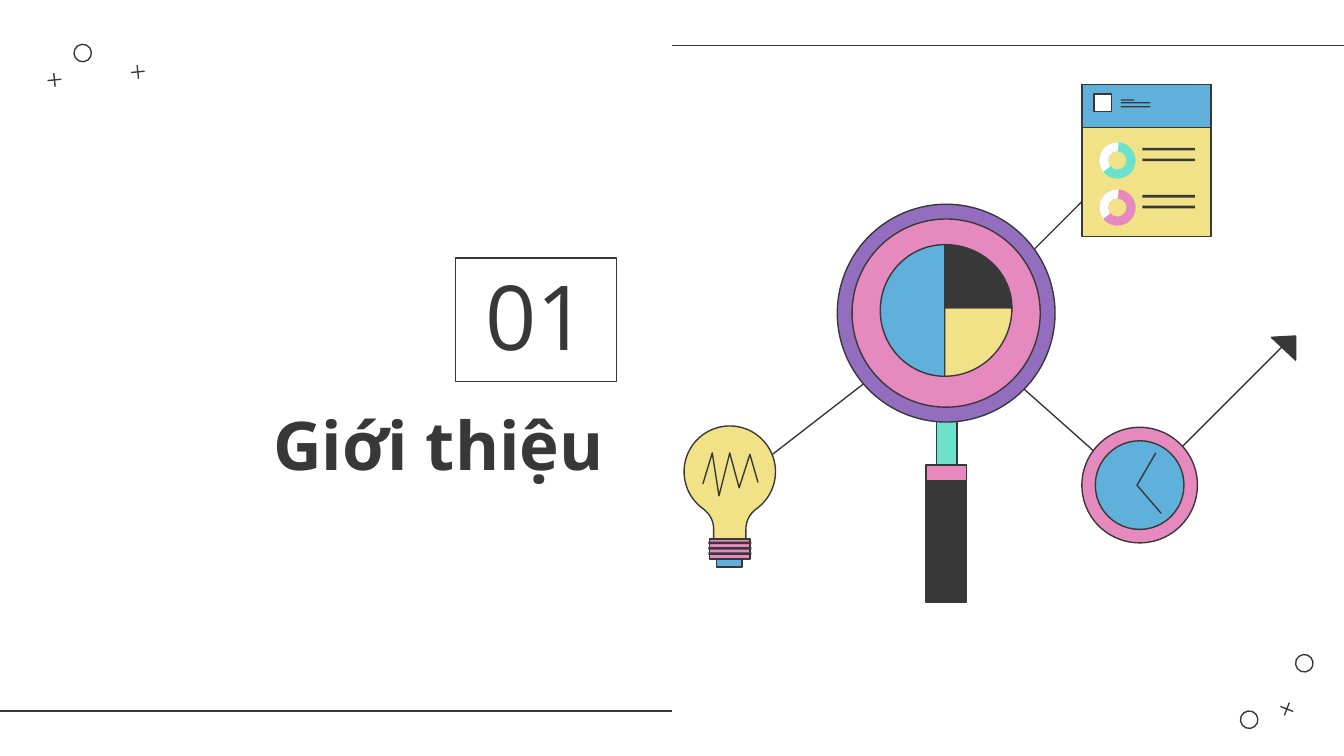
import math
from lxml import etree
from pptx import Presentation
from pptx.dml.color import RGBColor
from pptx.enum import shapes, text
from pptx.oxml import ns
from pptx.util import Inches, Pt

THEME = dict(ink="383838", paper="FFFFFF", yellow="F1E287", blue="5FB0DA", pink="E589BF",
             purple="946EBE", mint="6CE2CB", font="Open Sans", title=36, number=48, stroke=0.75)
INK, PAPER, YELLOW, BLUE, PINK, PURPLE, MINT = [
    THEME[c] for c in ("ink", "paper", "yellow", "blue", "pink", "purple", "mint")]
S = shapes.MSO_SHAPE

# A 16:9 slide
prs = Presentation()
prs.slide_width, prs.slide_height = Inches(10), Inches(10 * 9 / 16)
s = prs.slides.add_slide(prs.slide_layouts[6])


def paint(sp, fill=None, edge=True):
    sp.shadow.inherit = False
    if fill:
        sp.fill.solid()
        sp.fill.fore_color.rgb = RGBColor.from_string(fill)
    else:
        sp.fill.background()
    if edge:
        sp.line.color.rgb = RGBColor.from_string(INK)
        sp.line.width = Pt(THEME["stroke"])
    else:
        sp.line.fill.background()
    return sp


def place(kind, box, fill=None, edge=True, adj=(), turn=0):
    sp = s.shapes.add_shape(kind, *[Inches(v) for v in box])
    sp.rotation = turn
    for i, value in enumerate(adj):
        sp.adjustments[i] = value
    return paint(sp, fill, edge)


# Page rules, then the links between the drawings
for x1, y1, x2, y2 in [(10, 0.34, 5, 0.34), (5, 5.29, 0, 5.29), (7.45, 2.1, 8.22, 1.33),
                       (8.49, 3.63, 9.55, 2.57), (5.4, 3.65, 7.04, 2.38),
                       (7.04, 2.38, 8.48, 3.66)]:
    link = s.shapes.add_connector(shapes.MSO_CONNECTOR.STRAIGHT, *map(Inches, (x1, y1, x2, y2)))
    link.line.color.rgb = RGBColor.from_string(INK)
    link.line.width = Pt(THEME["stroke"])
    etree.SubElement(link._element.spPr, ns.qn("a:effectLst"))

# Corner circles and crosses
for x, y, turn, cross in [(0.55, 0.33, 84.5, False), (0.34, 0.53, 84.5, True),
                          (0.96, 0.47, 84.5, True), (9.23, 5.29, 291.4, False),
                          (9.51, 5.21, 291.4, True), (9.64, 4.87, 291.4, False)]:
    place(S.MATH_PLUS if cross else S.OVAL, (x, y, 0.13, 0.13), turn=turn,
          adj=(0,) if cross else ())

# Title and section number
title = s.shapes.add_textbox(Inches(0.79), Inches(2.84), Inches(3.8), Inches(0.86))
number = place(S.RECTANGLE, (3.39, 1.92, 1.2, 0.92))
for sp, words, size, bold, align in [
        (title, "Giới thiệu", THEME["title"], True, text.PP_ALIGN.RIGHT),
        (number, "01", THEME["number"], False, text.PP_ALIGN.CENTER)]:
    tf = sp.text_frame
    tf.word_wrap = True
    tf.vertical_anchor = text.MSO_ANCHOR.BOTTOM
    tf.margin_left = tf.margin_right = tf.margin_top = tf.margin_bottom = Inches(0.1)
    p = tf.paragraphs[0]
    p.text, p.alignment = words, align
    p.font.name, p.font.size, p.font.bold = THEME["font"], Pt(size), bold
    p.font.color.rgb = RGBColor.from_string(INK)

# Magnifier handle, bulb base and report card
for box, fill in [((6.97, 3.04, 0.15, 1.29), MINT), ((6.89, 3.58, 0.3, 0.9), INK),
                  ((6.89, 3.46, 0.3, 0.12), PINK),
                  ((5.33, 4.15, 0.19, 0.07), BLUE), ((5.28, 4.01, 0.3, 0.15), PINK),
                  ((8.05, 0.63, 0.96, 1.13), YELLOW), ((8.05, 0.63, 0.96, 0.32), BLUE),
                  ((8.14, 0.7, 0.13, 0.13), PAPER)]:
    place(S.RECTANGLE, box, fill)

# Magnifier lens and clock face
for cx, cy, radius, fill in [(7.04, 2.33, 0.81, PURPLE), (7.04, 2.33, 0.7, PINK),
                             (8.48, 3.61, 0.43, PINK), (8.48, 3.61, 0.33, BLUE)]:
    place(S.OVAL, (cx - radius, cy - radius, 2 * radius, 2 * radius), fill)

# Pie in the lens: angles in degrees, clockwise from the right
for cy, rx, ry, start, end, fill in [(2.31, 0.48, 0.49, 90, 270, BLUE),
                                     (2.29, 0.5, 0.51, 0, 90, YELLOW),
                                     (2.29, 0.5, 0.47, 270, 0, INK)]:
    place(S.PIE, (7.03 - rx, cy - ry, 2 * rx, 2 * ry), fill, adj=(start * 0.6, end * 0.6))

# Bulb threads and card heading lines
for i in range(3):
    place(S.RECTANGLE, (5.27, 4.03 + 0.04 * i, 0.32, 0.02), INK, edge=False)
for y, width in [(0.74, 0.1), (0.76, 0.22), (0.79, 0.22)]:
    place(S.RECTANGLE, (8.34, y, width, 0.01), INK, edge=False)

# Card rows: ring with a white part and two lines
for y, fill in [(1.06, MINT), (1.41, PINK)]:
    ring = (8.18, y, 0.27, 0.27)
    place(S.DONUT, ring, fill, edge=False, adj=(0.25,))
    place(S.BLOCK_ARC, ring, PAPER, edge=False, adj=(84.95, 164, 0.245))
    for dy in (0.04, 0.12):
        place(S.RECTANGLE, (8.5, y + dy, 0.39, 0.02), INK, edge=False)

# Bulb outline: right half is a round head and a curved neck, left half mirrors it
BULB_X, BULB_Y, BULB_R = 5.43, 3.51, 0.34
half = [(BULB_R * math.cos(math.radians(a)), BULB_Y + BULB_R * math.sin(math.radians(a)))
        for a in range(-90, 53, 2)]
neck = [half[-1], (0.12, 3.84), (0.12, 3.94)]
for i in range(1, 11):
    t = i / 10
    weights = ((1 - t) ** 2, 2 * t * (1 - t), t * t)
    half.append(tuple(sum(w * pt[k] for w, pt in zip(weights, neck)) for k in (0, 1)))
half.append((0.12, 4.01))
bulb = [(BULB_X + x, y) for x, y in half] + [(BULB_X - x, y) for x, y in reversed(half)]

# Bulb, filament, clock hands and arrow tip
filament = [(5.23, 3.6), (5.3, 3.37), (5.35, 3.69), (5.43, 3.37), (5.5, 3.63), (5.58, 3.38),
            (5.64, 3.59)]
hands = [(8.6, 3.37), (8.46, 3.61), (8.64, 3.82)]
arrow_tip = [(9.46, 2.51), (9.64, 2.5), (9.64, 2.68)]
for points, fill in [(bulb, YELLOW), (filament, None), (hands, None), (arrow_tip, INK)]:
    points = [(Inches(x), Inches(y)) for x, y in points]
    builder = s.shapes.build_freeform(*points[0])
    builder.add_line_segments(points[1:], close=fill is not None)
    paint(builder.convert_to_shape(), fill)

prs.save("out.pptx")
